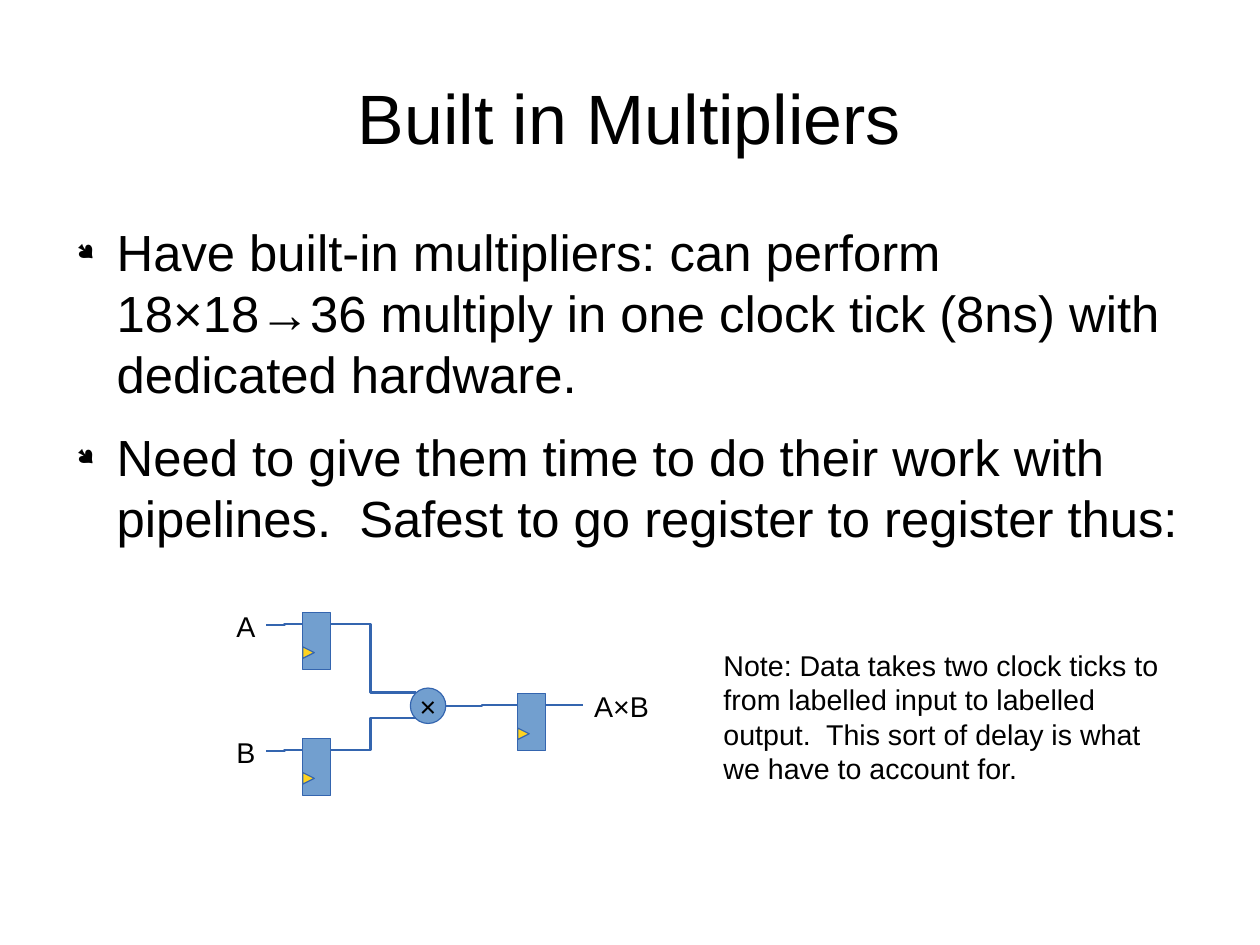
from lxml import etree
from pptx import Presentation
from pptx.dml.color import RGBColor
from pptx.enum.shapes import MSO_CONNECTOR, MSO_SHAPE
from pptx.enum.text import MSO_ANCHOR, PP_ALIGN
from pptx.oxml.ns import qn
from pptx.util import Inches, Pt

COLORS = {"text": "000000", "block": "729FCF", "outline": "3465AF", "clock": "FFD320"}
CM_PER_INCH = 2.54


class SlideBuilder:
    font_name = "Arial"

    def __init__(self, slide):
        self.slide = slide

    def color(self, name):
        return RGBColor.from_string(COLORS[name])

    def style(self, paragraph, size, align=PP_ALIGN.LEFT):
        paragraph.alignment = align
        font = paragraph.font
        font.name, font.size = self.font_name, Pt(size)
        font.color.rgb = self.color("text")

    def frame(self, text_frame, inset_x, inset_y, wrap=True, anchor=MSO_ANCHOR.TOP):
        text_frame.margin_left = text_frame.margin_right = Inches(inset_x)
        text_frame.margin_top = text_frame.margin_bottom = Inches(inset_y)
        text_frame.word_wrap = wrap
        text_frame.vertical_anchor = anchor

    def title(self, text, left, top, width, height):
        title = self.slide.shapes.title
        title.left, title.top = Inches(left), Inches(top)
        title.width, title.height = Inches(width), Inches(height)
        self.frame(title.text_frame, 0, 0, anchor=MSO_ANCHOR.MIDDLE)
        title.text_frame.text = text
        self.style(title.text_frame.paragraphs[0], 44, PP_ALIGN.CENTER)

    def text(self, text, left, top, width, height, inset=(0.1, 0.05), wrap=False):
        box = self.slide.shapes.add_textbox(*map(Inches, (left, top, width, height)))
        self.frame(box.text_frame, *inset, wrap=wrap)
        box.text_frame.text = text
        self.style(box.text_frame.paragraphs[0], 18)

    def bullets(self, points, left, top, width, height):
        box = self.slide.shapes.add_textbox(*map(Inches, (left, top, width, height)))
        self.frame(box.text_frame, 0, 0)
        box.text_frame.text = "\n".join(points)
        for paragraph in box.text_frame.paragraphs:
            paragraph.space_after = Pt(14.2)
            properties = paragraph._p.get_or_add_pPr()
            properties.set("marL", str(Inches(0.47)))
            properties.set("indent", str(Inches(-0.35)))
            bullet_color = etree.SubElement(properties, qn("a:buClr"))
            etree.SubElement(bullet_color, qn("a:srgbClr"), val=COLORS["text"])
            etree.SubElement(properties, qn("a:buSzPct"), val="45000")
            etree.SubElement(properties, qn("a:buFont"), typeface="Wingdings", charset="2")
            etree.SubElement(properties, qn("a:buChar"), char="●")
            self.style(paragraph, 32)

    def shape(self, kind, left, top, width, height, fill="block"):
        shape = self.slide.shapes.add_shape(kind, *map(Inches, (left, top, width, height)))
        shape.shadow.inherit = False
        shape.fill.solid()
        shape.fill.fore_color.rgb = self.color(fill)
        shape.line.color.rgb = self.color("outline")
        shape.line.width = Pt(0)
        return shape

    def register(self, left, top):
        """Draw a register block with its clock input marker."""
        self.shape(MSO_SHAPE.RECTANGLE, left, top, 0.24, 0.5)
        clock = self.shape(MSO_SHAPE.ISOSCELES_TRIANGLE, left, top + 0.3, 0.1, 0.1, "clock")
        clock.rotation = 90

    def multiplier(self, left, top, diameter):
        circle = self.shape(MSO_SHAPE.OVAL, left, top, diameter, diameter)
        self.frame(circle.text_frame, 0.1, 0.05, False, MSO_ANCHOR.MIDDLE)
        circle.text_frame.text = "×"
        self.style(circle.text_frame.paragraphs[0], 18, PP_ALIGN.CENTER)

    def wire(self, start, end, bend=0.5):
        """Join two points with an elbow that turns at the given share of its width."""
        wire = self.slide.shapes.add_connector(MSO_CONNECTOR.ELBOW, *map(Inches, start + end))
        wire.line.color.rgb = self.color("outline")
        wire.line.width = Pt(1.42)
        properties = wire._element.spPr
        guides = properties.find(qn("a:prstGeom")).get_or_add_avLst()
        etree.SubElement(guides, qn("a:gd"), name="adj1", fmla=f"val {round(bend * 100000)}")
        etree.SubElement(properties, qn("a:effectLst"))


def main():
    presentation = Presentation()
    presentation.slide_width = Inches(28 / CM_PER_INCH)
    presentation.slide_height = Inches(21 / CM_PER_INCH)
    builder = SlideBuilder(presentation.slides.add_slide(presentation.slide_layouts[5]))

    builder.title("Built in Multipliers", 0.55, 0.33, 9.92, 1.38)
    builder.bullets([
        "Have built-in multipliers: can perform 18×18→36 multiply in one clock tick (8ns) "
        "with dedicated hardware.",
        "Need to give them time to do their work with pipelines.  Safest to go register "
        "to register thus:",
    ], 0.55, 1.93, 9.92, 4.8)

    builder.multiplier(3.59, 6.02, 0.31)
    for name, register_top, multiplier_y in (("A", 5.36, 6.06), ("B", 6.46, 6.28)):
        wire_y = register_top + 0.1
        builder.register(2.65, register_top)
        builder.text(name, 1.97, register_top - 0.08, 0.36, 0.38)
        builder.wire((2.33, wire_y + 0.01), (2.65, wire_y))
        builder.wire((2.89, wire_y), (3.64, multiplier_y), 0.47)

    builder.register(4.53, 6.07)
    builder.wire((3.9, 6.18), (4.53, 6.17))
    builder.wire((4.78, 6.17), (5.1, 6.17))
    builder.text("A×B", 5.1, 5.98, 0.68, 0.38)

    builder.text(
        "Note: Data takes two clock ticks to from labelled input to labelled output.  "
        "This sort of delay is what we have to account for.",
        6.22, 5.61, 4.17, 1.24, inset=(0.11, 0.06), wrap=True)

    presentation.save("out.pptx")


if __name__ == "__main__":
    main()
